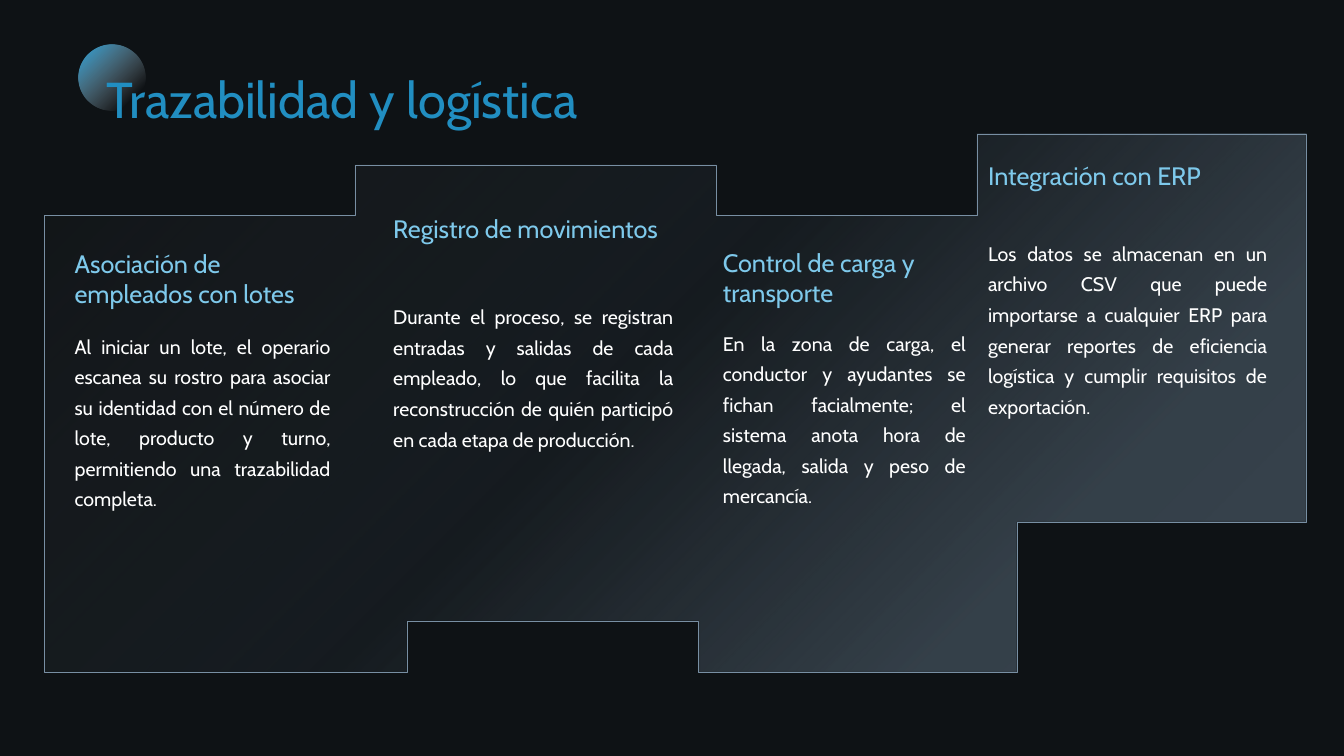
from pptx import Presentation
from pptx.dml.color import RGBColor
from pptx.enum.shapes import MSO_SHAPE
from pptx.enum.text import MSO_AUTO_SIZE, PP_ALIGN
from pptx.oxml import parse_xml
from pptx.oxml.ns import nsdecls
from pptx.util import Pt

PX = 9144
NIGHT = RGBColor(0x0E, 0x12, 0x15)
STEEL = RGBColor(0x78, 0x8F, 0xA3)
COAL = RGBColor(0x23, 0x23, 0x22)
AZURE = RGBColor(0x28, 0xA4, 0xDE)
SILVER = RGBColor(0xC5, 0xC9, 0xCE)
BLUE = RGBColor(0x21, 0x8E, 0xC1)
SKY = RGBColor(0x7E, 0xC9, 0xEB)
WHITE = RGBColor(0xFF, 0xFF, 0xFF)

OUTLINE = [(44, 214), (352, 214), (352, 164), (711, 164), (711, 214),
           (969, 214), (969, 133), (1296, 133), (1296, 518), (1009, 518),
           (1009, 667), (693, 667), (693, 616), (404, 616), (404, 667),
           (44, 667)]

STEPS = [
    (69, 264, 241, 64, 320, "Asociación de empleados con lotes",
     "Al iniciar un lote, el operario escanea su rostro para asociar su "
     "identidad con el número de lote, producto y turno, permitiendo una "
     "trazabilidad completa."),
    (385, 288, 207, 64, 291, "Registro de movimientos",
     "Durante el proceso, se registran entradas y salidas de cada empleado, "
     "lo que facilita la reconstrucción de quién participó en cada etapa de "
     "producción."),
    (712, 251, 240, 64, 317, "Control de carga y transporte",
     "En la zona de carga, el conductor y ayudantes se fichan facialmente; "
     "el sistema anota hora de llegada, salida y peso de mercancía."),
    (975, 287, 154, 30, 228, "Integración con ERP",
     "Los datos se almacenan en un archivo CSV que puede importarse a "
     "cualquier ERP para generar reportes de eficiencia logística y cumplir "
     "requisitos de exportación."),
]


def shade(shape, stops, angle):
    shape.shadow.inherit = False
    shape.fill.background()
    marks = "".join(
        f'<a:gs pos="{pos * 1000}"><a:srgbClr val="{color}">'
        f'<a:alpha val="{alpha * 1000}"/></a:srgbClr></a:gs>'
        for pos, color, alpha in stops)
    grad = parse_xml(
        f'<a:gradFill {nsdecls("a")} rotWithShape="1"><a:gsLst>{marks}'
        f'</a:gsLst><a:lin ang="{angle * 60000}" scaled="0"/></a:gradFill>')
    props = shape.fill._xPr
    props.replace(props.eg_fillProperties, grad)


def add_panel(slide):
    pen = slide.shapes.build_freeform(*OUTLINE[0], scale=PX)
    pen.add_line_segments(OUTLINE[1:], close=True)
    panel = pen.convert_to_shape()
    shade(panel, [(0, STEEL, 39), (22, STEEL, 36), (54, STEEL, 7),
                  (100, COAL, 15)], 225)
    panel.line.color.rgb = STEEL
    panel.line.width = Pt(0.5)


def add_disc(slide, left, top, size):
    disc = slide.shapes.add_shape(
        MSO_SHAPE.OVAL, left * PX, top * PX, size * PX, size * PX)
    shade(disc, [(0, AZURE, 100), (81, SILVER, 0), (100, SILVER, 0)], 45)
    disc.line.fill.background()


def add_text(slide, text, left, top, width, height, *, size, color,
             inset=5, align=PP_ALIGN.LEFT, space=1.0):
    box = slide.shapes.add_textbox(left * PX, top * PX, width * PX, height * PX)
    frame = box.text_frame
    frame.word_wrap = True
    frame.auto_size = MSO_AUTO_SIZE.SHAPE_TO_FIT_TEXT
    frame.margin_left = frame.margin_right = inset * PX
    frame.margin_top = frame.margin_bottom = inset * PX
    para = frame.paragraphs[0]
    para.alignment = align
    para.line_spacing = space
    run = para.add_run()
    run.text = text
    run.font.name = "Cabin"
    run.font.size = Pt(size)
    run.font.color.rgb = color


def add_step(slide, left, width, top, height, low, head, body):
    add_text(slide, body, left, low, width, 190, size=14, color=WHITE,
             align=PP_ALIGN.JUSTIFY, space=1.3)
    add_text(slide, head, left, top, width, height, size=18, color=SKY)


def main():
    """Build the traceability and logistics slide."""
    deck = Presentation()
    deck.slide_width, deck.slide_height = 1333 * PX, 750 * PX
    slide = deck.slides.add_slide(deck.slide_layouts[6])
    slide.background.fill.solid()
    slide.background.fill.fore_color.rgb = NIGHT
    add_panel(slide)
    for step in STEPS:
        add_step(slide, *step)
    add_disc(slide, 78, 44, 66)
    add_text(slide, "Trazabilidad y logística", 106, 56, 1151, 72,
             size=36, color=BLUE, inset=0, space=1.2)
    deck.save("out.pptx")


if __name__ == "__main__":
    main()
